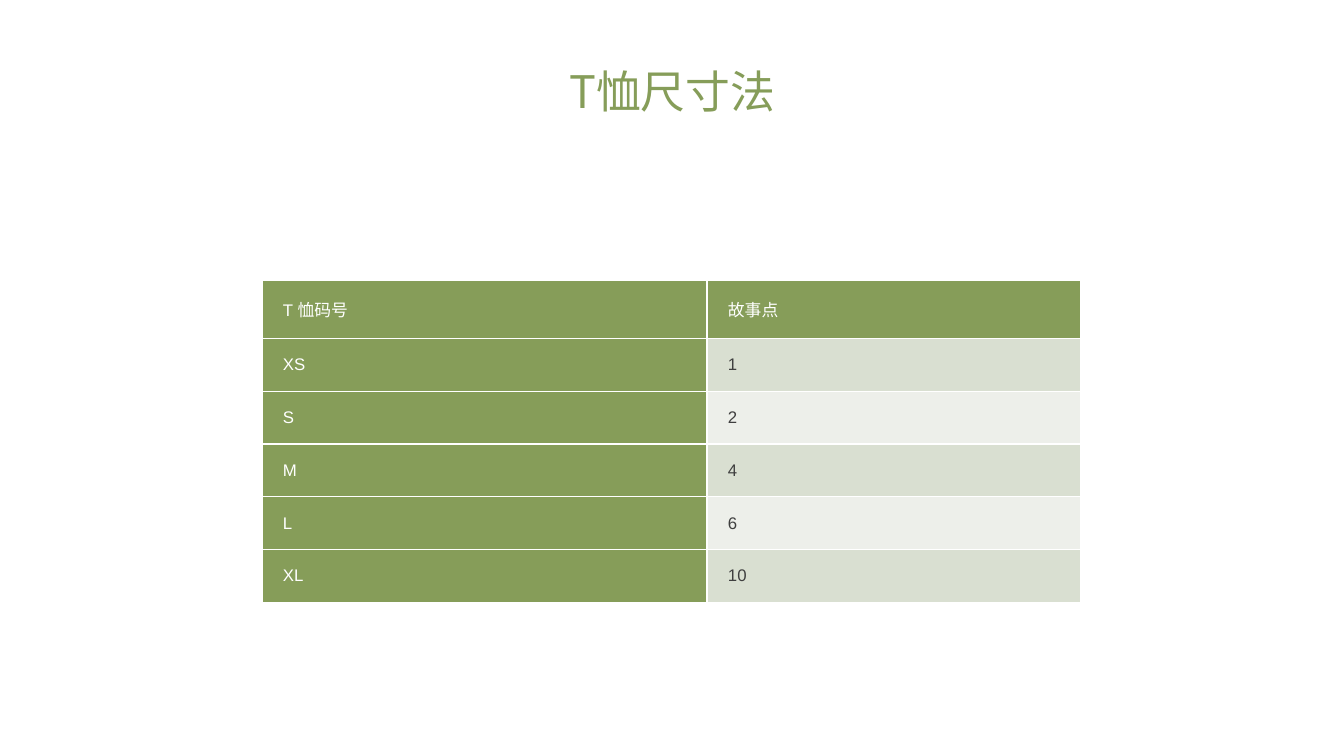
from lxml import etree
from pptx import Presentation
from pptx.dml.color import RGBColor
from pptx.enum.text import MSO_ANCHOR, PP_ALIGN
from pptx.oxml.ns import qn
from pptx.util import Emu, Pt

PX = 914400 / 100.8
MIDDLE, BOTTOM = MSO_ANCHOR.MIDDLE, MSO_ANCHOR.BOTTOM
LEFT, CENTER = PP_ALIGN.LEFT, PP_ALIGN.CENTER
GREEN = RGBColor(0x86, 0x9D, 0x59)
WHITE = RGBColor(0xFF, 0xFF, 0xFF)
DARK = RGBColor(0x3F, 0x3F, 0x3F)
BANDS = [RGBColor(0xED, 0xEF, 0xEA), RGBColor(0xD9, 0xDF, 0xD1)]
CJK_FONT = "Noto Sans CJK SC"
SIZES = [("T 恤码号", "故事点"), ("XS", "1"), ("S", "2"), ("M", "4"), ("L", "6"), ("XL", "10")]
COLUMN_WIDTHS = [445, 374]
HEADER_HEIGHT, ROW_HEIGHT = 58, 52


def px(length):
    return Emu(round(length * PX))


def write(frame, text, *, size, color, font=CJK_FONT, align=LEFT, spacing=1.0):
    paragraph = frame.paragraphs[0]
    paragraph.alignment = align
    paragraph.line_spacing = spacing
    run = paragraph.add_run()
    run.text = text
    run.font.size = Pt(size)
    run.font.bold = False
    run.font.color.rgb = color
    run.font.name = font
    etree.SubElement(run.font._element, qn("a:ea"), typeface=CJK_FONT)


presentation = Presentation()
presentation.slide_width, presentation.slide_height = px(1344), px(756)
slide = presentation.slides.add_slide(presentation.slide_layouts[5])

title = slide.shapes.title
title.left, title.top, title.width, title.height = px(93), px(40), px(1159), px(108)
title.text_frame.vertical_anchor = MIDDLE
write(title.text_frame, "T恤尺寸法", size=32, color=GREEN, align=CENTER, spacing=0.9)

table_height = HEADER_HEIGHT + ROW_HEIGHT * (len(SIZES) - 1)
table = slide.shapes.add_table(
    len(SIZES), len(COLUMN_WIDTHS), px(262), px(280), px(sum(COLUMN_WIDTHS)), px(table_height)
).table
for column, width in zip(table.columns, COLUMN_WIDTHS):
    column.width = px(width)

for row_index, values in enumerate(SIZES):
    table.rows[row_index].height = px(ROW_HEIGHT if row_index else HEADER_HEIGHT)
    for column_index, value in enumerate(values):
        cell = table.cell(row_index, column_index)
        cell.margin_left = cell.margin_right = px(21)
        cell.margin_top = cell.margin_bottom = px(17)
        cell.vertical_anchor = BOTTOM
        is_heading = row_index == 0 or column_index == 0
        write(cell.text_frame, value, size=12, color=WHITE if is_heading else DARK, font="Arial")

        properties = cell._tc.get_or_add_tcPr()
        for side in ("lnL", "lnR", "lnT", "lnB"):
            border = etree.SubElement(properties, qn(f"a:{side}"), w=str(Pt(1)))
            border_fill = etree.SubElement(border, qn("a:solidFill"))
            etree.SubElement(border_fill, qn("a:srgbClr"), val=str(WHITE))
        cell.fill.solid()
        cell.fill.fore_color.rgb = GREEN if is_heading else BANDS[row_index % 2]

presentation.save("out.pptx")
